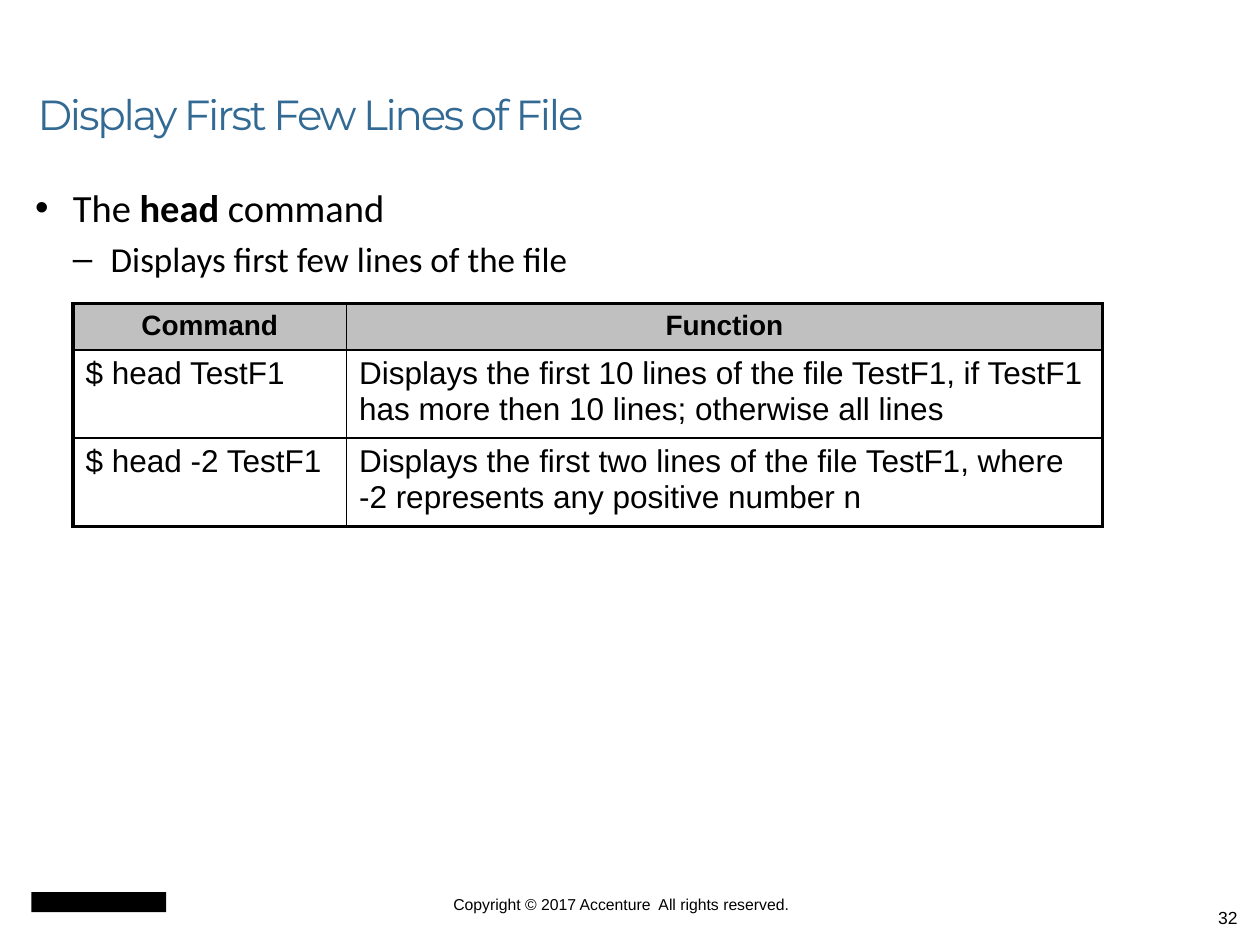
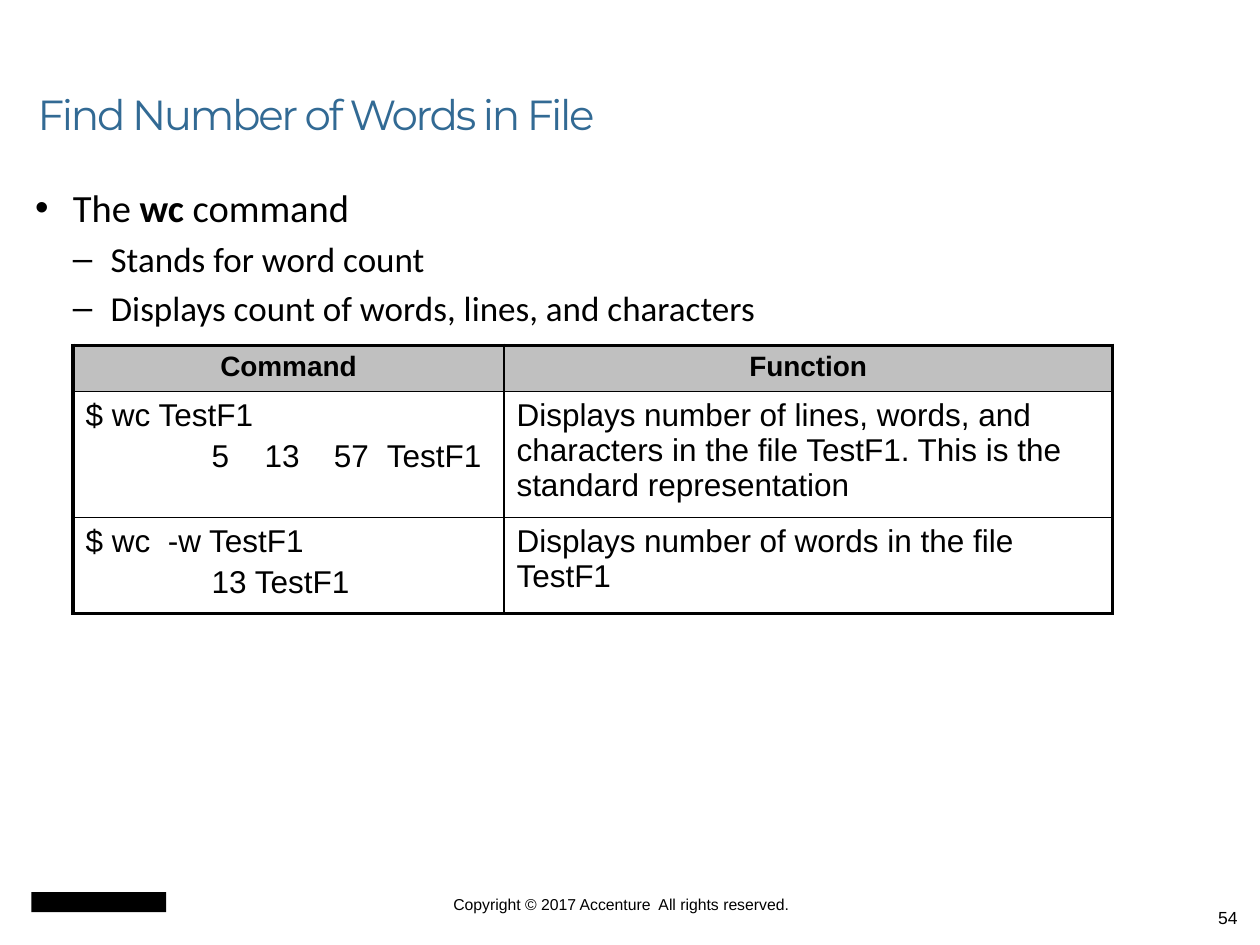
from lxml import etree
from pptx import Presentation, util as u
from pptx.dml import color
from pptx.enum import shapes, text
from pptx.oxml import ns

DECK = [
    {
        "title": "Display First Few Lines of File",
        "page": "32",
        "topic": ("The ", "head", " command"),
        "points": ["Displays first few lines of the file"],
        "top": 2.41,
        "cols": (2.17, 6),
        "rows": (0.36, 0.7, 0.7),
        "cells": [
            (["$ head TestF1"],
             ["Displays the first 10 lines of the file TestF1, if TestF1 has more then 10 lines; otherwise all lines"]),
            (["$ head -2 TestF1"],
             ["Displays the first two lines of the file TestF1, where -2 represents any positive number n"]),
        ],
    },
    {
        "title": "Find Number of Words in File",
        "page": "54",
        "topic": ("The ", "wc", " command"),
        "points": ["Stands for word count",
                   "Displays count of words, lines, and characters"],
        "top": 2.74,
        "cols": (3.42, 4.83),
        "rows": (0.36, 1, 0.76),
        "cells": [
            (["$ wc TestF1", "\t5\t13\t57\tTestF1"],
             ["Displays number of lines, words, and characters in the file TestF1. This is the standard representation"]),
            (["$ wc  -w TestF1", "\t13 TestF1"],
             ["Displays number of words in the file TestF1"]),
        ],
    },
]
HEADS = ("Command", "Function")
RIGHTS = "Copyright © 2017 Accenture  All rights reserved."
TABS = (1, 1.42, 1.97, 2.39)

HUES = {"ink": "000000", "title": "326A94", "head": "C0C0C0"}
FONTS = {
    "title": {"name": "Montserrat", "size": 24},
    "topic": {"name": "Calibri", "size": 22},
    "point": {"name": "Calibri", "size": 20},
    "head": {"name": "Arial", "size": 16, "bold": True},
    "cell": {"name": "Arial", "size": 18},
    "rights": {"name": "Arial", "size": 9},
    "page": {"name": "Arial", "size": 10},
}
PARAS = {
    "title": {"line_spacing": 0.9},
    "head": {"alignment": text.PP_ALIGN.CENTER},
    "rights": {"alignment": text.PP_ALIGN.CENTER},
    "page": {"alignment": text.PP_ALIGN.RIGHT},
}
BULLETS = {"topic": ("•", 0.3), "point": ("–", 0.6)}
BOXES = {
    "title": (0.2, 0.16, 8.92, 1),
    "body": (0.18, 1.41, 9.32, 5.25),
    "rights": (2.75, 7.1, 4.36, 0.15),
    "page": (7.58, 7.15, 2.34, 0.35),
    "badge": (0.25, 7.08, 1.07, 0.16),
}
LEFT, THICK, THIN = 0.58, 2.25, 1


def style(item, vals):
    for key, val in vals.items():
        setattr(item, key, val)


def paint(fill, hue):
    fill.solid()
    fill.fore_color.rgb = color.RGBColor.from_string(HUES[hue])


def sub(node, tag, **vals):
    return etree.SubElement(node, ns.qn("a:" + tag), **vals)


def tint(node, hue):
    sub(node, "srgbClr", val=HUES[hue])


def mark(para, kind):
    sign, left = BULLETS[kind]
    props = para._p.get_or_add_pPr()
    props.set("marL", str(u.Inches(left)))
    props.set("indent", str(-u.Inches(0.3)))
    tint(sub(props, "buClr"), "ink")
    sub(props, "buFont", typeface="Arial")
    sub(props, "buChar", char=sign)


def stops(para):
    tabs = sub(para._p.get_or_add_pPr(), "tabLst")
    for pos in TABS:
        sub(tabs, "tab", pos=str(u.Inches(pos)), algn="l")


def write(frame, kind, parts, first=True):
    para = frame.paragraphs[0] if first else frame.add_paragraph()
    look = FONTS[kind]
    if kind in BULLETS:
        mark(para, kind)
    if parts[0].startswith("\t"):
        stops(para)
    style(para, PARAS.get(kind, {}))
    if not first:
        para.space_before = u.Pt(0.2 * look["size"])
    for num, part in enumerate(parts):
        run = para.add_run()
        run.text = part
        style(run.font, {"bold": num % 2 == 1, **look, "size": u.Pt(look["size"])})
        paint(run.font.fill, "title" if kind == "title" else "ink")
        if kind == "title":
            run._r.get_or_add_rPr().set("spc", "-130")


def box(slide, name, **vals):
    frame = slide.shapes.add_textbox(*map(u.Inches, BOXES[name])).text_frame
    style(frame, {"word_wrap": True, **vals})
    return frame


def badge(slide):
    spot = map(u.Inches, BOXES["badge"])
    shape = slide.shapes.add_shape(shapes.MSO_SHAPE.RECTANGLE, *spot)
    shape.shadow.inherit = False
    paint(shape.fill, "ink")
    shape.line.fill.background()


def edge(cell, row, col, last):
    props = cell._tc.get_or_add_tcPr()
    outer = {"lnL": col == 0, "lnR": col == last[1],
             "lnT": row == 0, "lnB": row == last[0]}
    for tag, wide in outer.items():
        line = sub(props, tag, w=str(u.Pt(THICK if wide else THIN)))
        tint(sub(line, "solidFill"), "ink")


def grid(slide, data):
    cols, rows = data["cols"], data["rows"]
    spot = (LEFT, data["top"], sum(cols), sum(rows))
    table = slide.shapes.add_table(len(rows), len(cols), *map(u.Inches, spot)).table
    style(table, {"first_row": False, "horz_banding": False})
    for col, width in zip(table.columns, cols):
        col.width = u.Inches(width)
    for row, height in zip(table.rows, rows):
        row.height = u.Inches(height)
    lines = [[[head] for head in HEADS]] + data["cells"]
    last = len(rows) - 1, len(cols) - 1
    for r, line in enumerate(lines):
        for c, paras in enumerate(line):
            cell = table.cell(r, c)
            edge(cell, r, c, last)
            if r == 0:
                paint(cell.fill, "head")
            else:
                cell.fill.background()
            for num, para in enumerate(paras):
                write(cell.text_frame, "cell" if r else "head", [para], num == 0)


def build(deck, data):
    slide = deck.slides.add_slide(deck.slide_layouts[6])
    flat = dict.fromkeys(("margin_left", "margin_top", "margin_right", "margin_bottom"), 0)
    badge(slide)
    write(box(slide, "rights", **flat), "rights", [RIGHTS])
    write(box(slide, "page"), "page", [data["page"]])
    write(box(slide, "title", vertical_anchor=text.MSO_ANCHOR.BOTTOM),
          "title", [data["title"]])
    body = box(slide, "body")
    write(body, "topic", data["topic"])
    for point in data["points"]:
        write(body, "point", [point], False)
    grid(slide, data)


def main():
    deck = Presentation()
    style(deck, {"slide_width": u.Inches(10), "slide_height": u.Inches(7.5)})
    for data in DECK:
        build(deck, data)
    deck.save("out.pptx")


if __name__ == "__main__":
    main()
